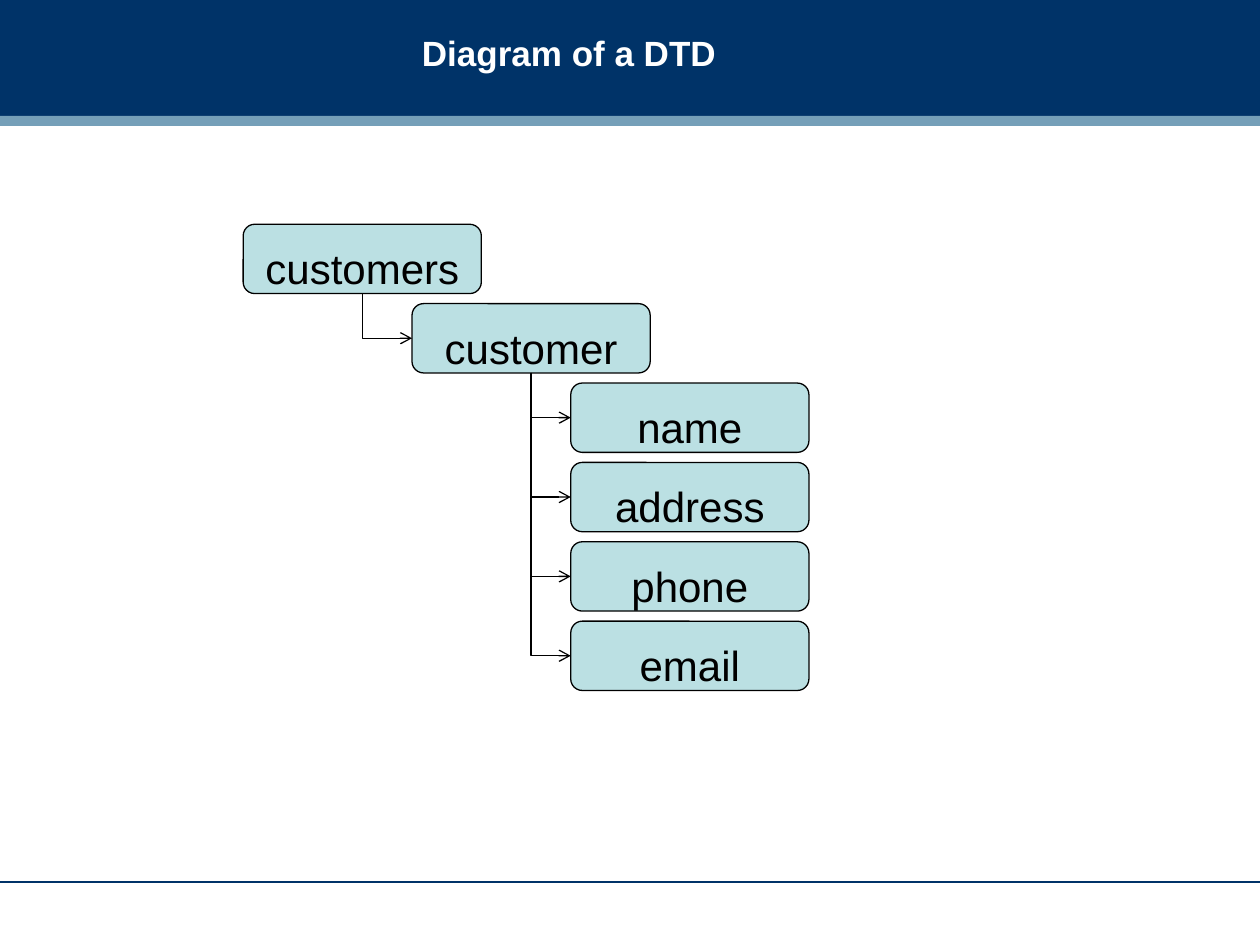
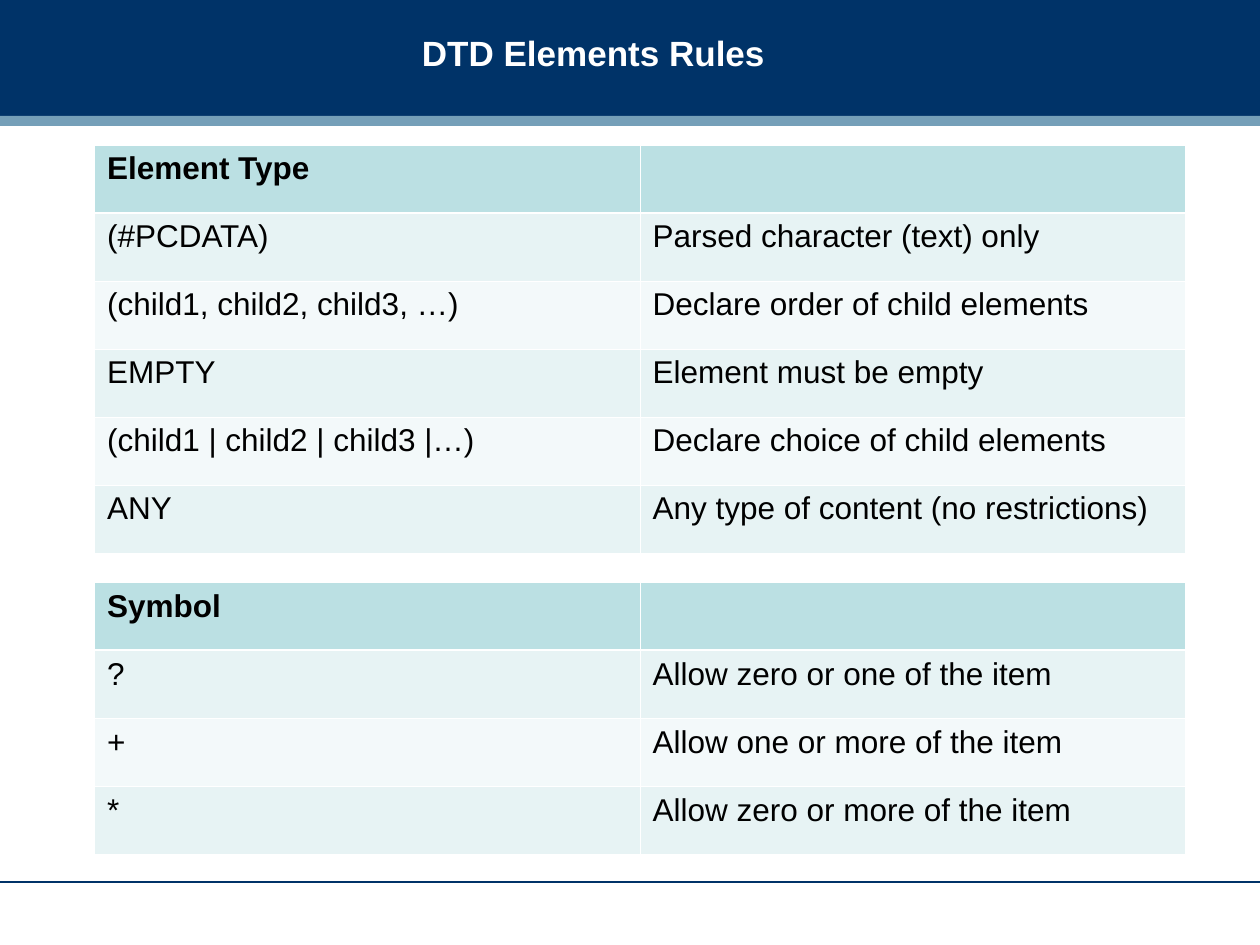
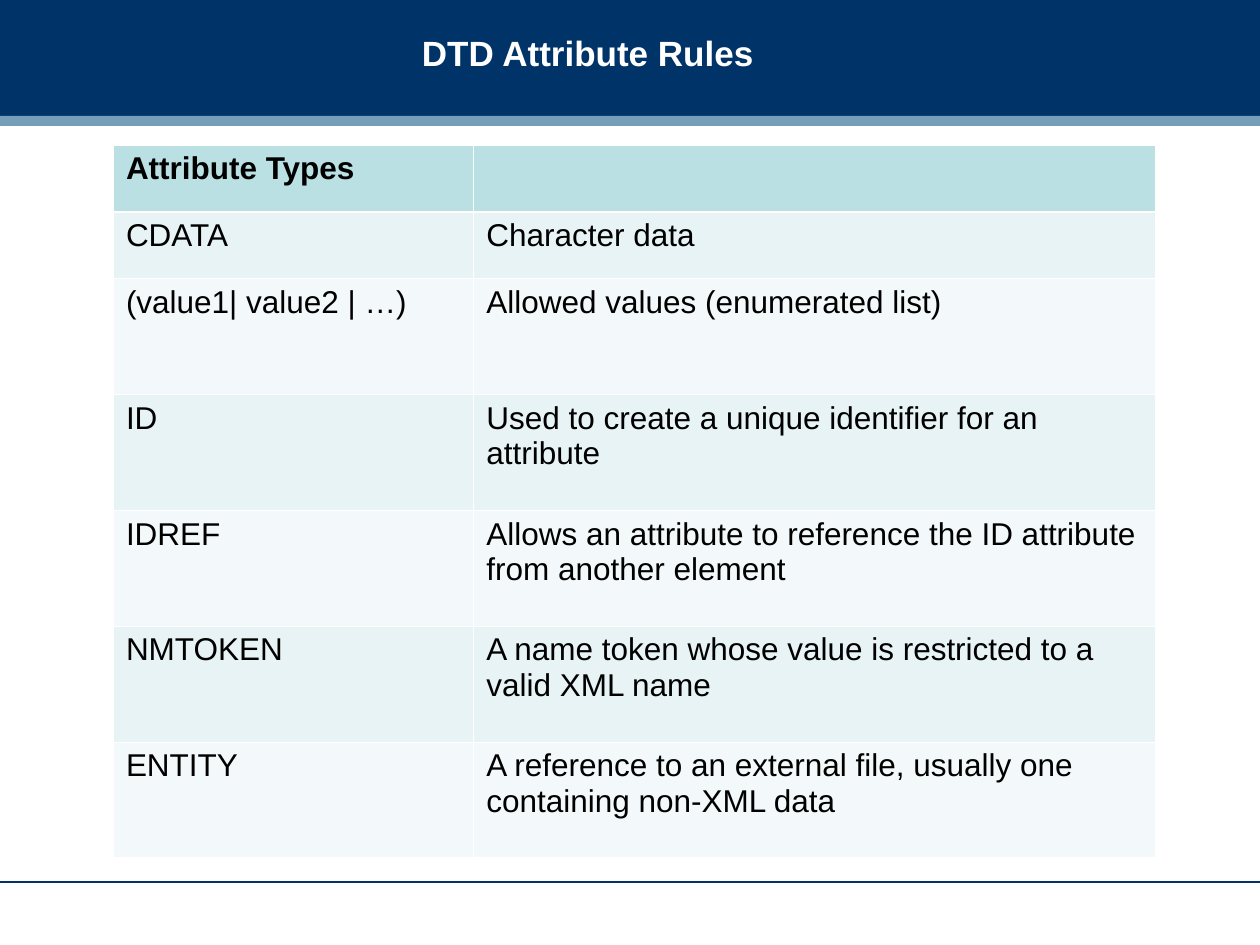
from lxml import etree
from pptx import Presentation
from pptx.dml.color import RGBColor
from pptx.enum import shapes, text
from pptx.oxml.ns import qn
from pptx.util import Inches, Pt

FONT = "Arial"
NAVY, STEEL, WHITE, BLACK = "003368", "759FB8", "FFFFFF", "000000"
AQUA, BANDS = "BBE0E3", ("E7F3F4", "F3F9FA")

# Diagram: name, left, index of the parent node
NODES = [
    ("customers", 1.93, None),
    ("customer", 3.27, 0),
    ("name", 4.53, 1),
    ("address", 4.53, 1),
    ("phone", 4.53, 1),
    ("email", 4.53, 1),
]
NODE_W, NODE_H, NODE_TOP, NODE_STEP = 1.89, 0.55, 1.78, 0.63

ELEMENT_TYPES = [
    ("Element Type", ""),
    ("(#PCDATA)", "Parsed character (text) only"),
    ("(child1, child2, child3, …)", "Declare order of child elements"),
    ("EMPTY", "Element must be empty"),
    ("(child1 | child2 | child3 |…)", "Declare choice of child elements"),
    ("ANY", "Any type of content (no restrictions)"),
]
SYMBOLS = [
    ("Symbol", ""),
    ("?", "Allow zero or one of the item"),
    ("+", "Allow one or more of the item"),
    ("*", "Allow zero or more of the item"),
]
ATTRIBUTE_TYPES = [
    ("Attribute Types", ""),
    ("CDATA", "Character data"),
    ("(value1| value2 | …)", "Allowed values (enumerated list)"),
    ("ID", "Used to create a unique identifier for an attribute"),
    ("IDREF", "Allows an attribute to reference the ID attribute from another element"),
    ("NMTOKEN", "A name token whose value is restricted to a valid XML name"),
    ("ENTITY", "A reference to an external file, usually one containing non-XML data"),
]

# Slides: title and tables as (rows, left, top, column widths, row heights)
TABLE_SLIDES = [
    ("DTD Elements Rules", [
        (ELEMENT_TYPES, 0.75, 1.15, (4.33, 4.33), [0.54] * 6),
        (SYMBOLS, 0.75, 4.62, (4.33, 4.33), [0.54] * 4),
    ]),
    ("DTD Attribute Rules", [
        (ATTRIBUTE_TYPES, 0.9, 1.15, (2.86, 5.41), [0.53] * 2 + [0.92] * 5),
    ]),
]


def rgb(color):
    return RGBColor.from_string(color)


def write(tf, string, size, color, bold=False, align=text.PP_ALIGN.LEFT):
    tf.text = string
    p = tf.paragraphs[0]
    p.alignment = align
    for font in [p.font] + [r.font for r in p.runs]:
        font.name, font.size, font.bold = FONT, Pt(size), bold
        font.color.rgb = rgb(color)


def add_box(s, kind, left, top, width, height, fill, line=None):
    sp = s.shapes.add_shape(kind, *map(Inches, (left, top, width, height)))
    sp.shadow.inherit = False
    sp.fill.solid()
    sp.fill.fore_color.rgb = rgb(fill)
    if line:
        sp.line.color.rgb = rgb(line)
        sp.line.width = Pt(0.75)
    else:
        sp.line.fill.background()
    return sp


def add_line(s, kind, x1, y1, x2, y2, color):
    line = s.shapes.add_connector(kind, *map(Inches, (x1, y1, x2, y2)))
    line.line.color.rgb = rgb(color)
    line.line.width = Pt(0.75)
    etree.SubElement(line._element.spPr, qn("a:effectLst"))
    return line


def add_elbow_arrow(s, x1, y1, x2, y2):
    """Go down from the first point, then right to the second."""
    # The one-bend preset runs across then down, so it is turned and flipped
    cx, cy = (x1 + x2) / 2, (y1 + y2) / 2
    half_w, half_h = (y2 - y1) / 2, (x2 - x1) / 2
    arrow = add_line(s, shapes.MSO_CONNECTOR.ELBOW, cx - half_w, cy - half_h,
                     cx + half_w, cy + half_h, BLACK)
    spPr = arrow._element.spPr
    spPr.find(qn("a:prstGeom")).set("prst", "bentConnector2")
    xfrm = spPr.find(qn("a:xfrm"))
    xfrm.set("rot", str(270 * 60000))
    xfrm.set("flipH", "1")
    etree.SubElement(spPr.find(qn("a:ln")), qn("a:tailEnd"), type="arrow")


def add_slide(prs, title):
    s = prs.slides.add_slide(prs.slide_layouts[6])
    # Header bands and footer rule
    add_box(s, shapes.MSO_SHAPE.RECTANGLE, 0, 0, 10, 0.92, NAVY)
    add_line(s, shapes.MSO_CONNECTOR.STRAIGHT, 0, 7, 10, 7, NAVY)
    add_box(s, shapes.MSO_SHAPE.RECTANGLE, 0, 0.92, 10, 0.08, STEEL)
    # Title
    tf = s.shapes.add_textbox(*map(Inches, (3.25, 0, 6.58, 0.83))).text_frame
    tf.word_wrap = True
    tf.vertical_anchor = text.MSO_ANCHOR.MIDDLE
    write(tf, title, 20, WHITE, bold=True)
    return s


def add_tree(s):
    tops = [NODE_TOP + i * NODE_STEP for i in range(len(NODES))]
    for (name, left, _), top in zip(NODES, tops):
        sp = add_box(s, shapes.MSO_SHAPE.ROUNDED_RECTANGLE, left, top,
                     NODE_W, NODE_H, AQUA, BLACK)
        tf = sp.text_frame
        tf.vertical_anchor = text.MSO_ANCHOR.TOP
        tf.margin_top, tf.margin_bottom = Inches(0.12), 0
        write(tf, name, 24, BLACK, align=text.PP_ALIGN.CENTER)
    for (_, left, parent), top in zip(NODES, tops):
        if parent is not None:
            add_elbow_arrow(s, NODES[parent][1] + NODE_W / 2, tops[parent] + NODE_H,
                            left, top + NODE_H / 2)


def set_borders(cell, widths):
    tcPr = cell._tc.get_or_add_tcPr()
    for side, width in widths.items():
        ln = etree.SubElement(tcPr, qn("a:ln" + side), w=str(Pt(width)))
        fill = etree.SubElement(ln, qn("a:solidFill"))
        etree.SubElement(fill, qn("a:srgbClr"), val=WHITE)


def add_rules_table(s, rows, left, top, widths, heights):
    table = s.shapes.add_table(len(rows), len(widths), *map(
        Inches, (left, top, sum(widths), sum(heights)))).table
    for column, width in zip(table.columns, widths):
        column.width = Inches(width)
    for i, (row, height) in enumerate(zip(rows, heights)):
        table.rows[i].height = Inches(height)
        for j, string in enumerate(row):
            cell = table.cell(i, j)
            # A thicker rule parts the header from the body
            set_borders(cell, {"L": 0.45, "R": 0.45,
                               "T": 1.47 if i == 1 else 0.45,
                               "B": 1.47 if i == 0 else 0.45})
            cell.fill.solid()
            cell.fill.fore_color.rgb = rgb(BANDS[(i - 1) % 2] if i else AQUA)
            write(cell.text_frame, string, 18, BLACK, bold=i == 0)


def main():
    prs = Presentation()
    prs.slide_width, prs.slide_height = Inches(10), Inches(7.5)
    add_tree(add_slide(prs, "Diagram of a DTD"))
    for title, tables in TABLE_SLIDES:
        s = add_slide(prs, title)
        for table in tables:
            add_rules_table(s, *table)
    prs.save("out.pptx")


if __name__ == "__main__":
    main()
